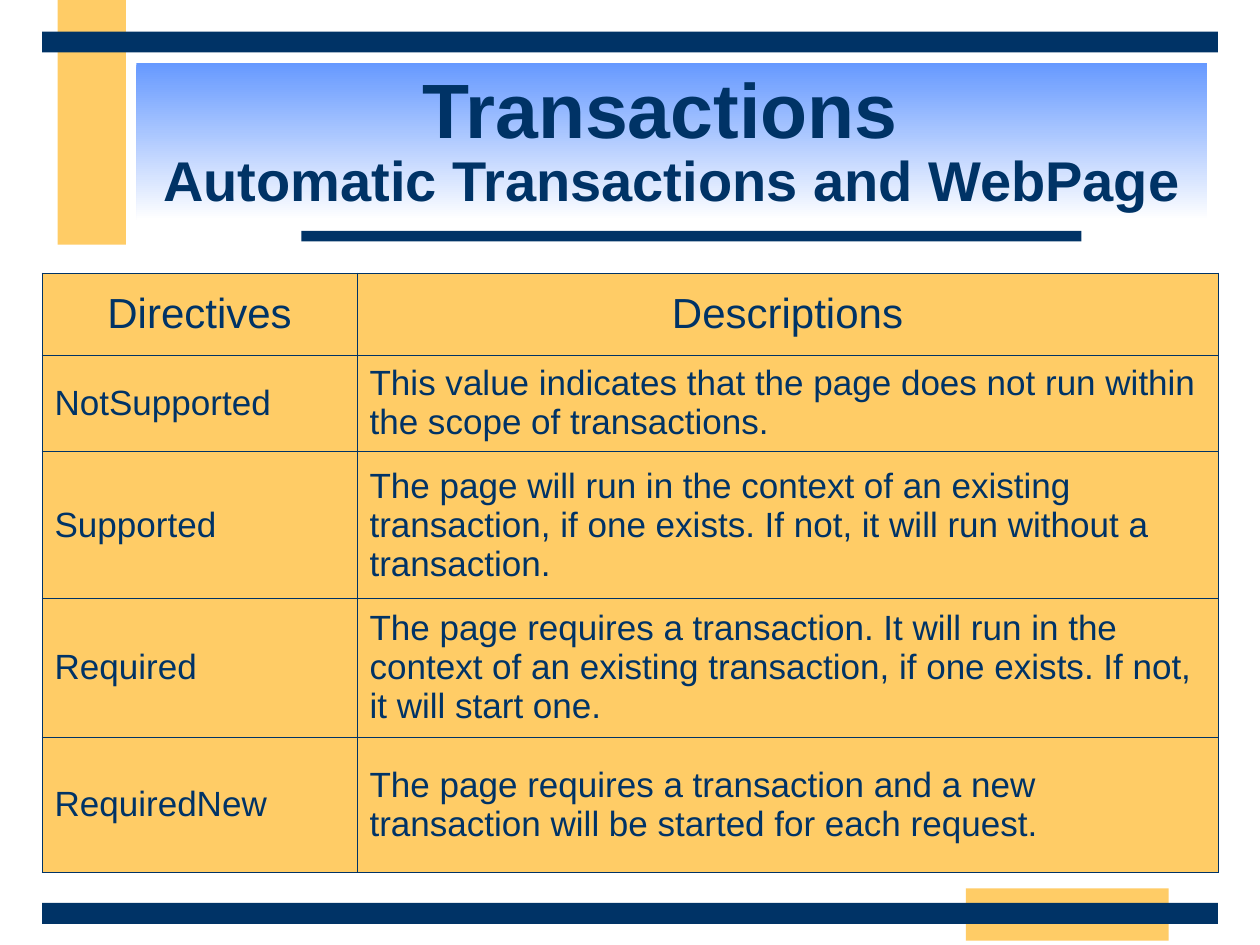
from lxml.etree import SubElement
from pptx import Presentation
from pptx.dml.color import RGBColor
from pptx.enum.shapes import MSO_SHAPE
from pptx.enum.text import MSO_ANCHOR, PP_ALIGN
from pptx.oxml.ns import qn
from pptx.util import Inches, Pt

COLORS = {"navy": "003366", "gold": "FFCC66", "blue": "6699FF", "white": "FFFFFF"}

# Grid of 120 columns by 90 rows on a 10 x 7.5 inch slide
WIDTH, HEIGHT = Inches(10), Inches(7.5)
COLS, ROWS = 120, 90

# Boxes: left, top, width, height in grid units
BARS = [
    ("gold", (5.5, 0, 6.5, 23.3)),
    ("gold", (92, 84.6, 19.3, 5)),
    ("navy", (28.7, 22, 74.3, 1)),
    ("navy", (4, 86, 112, 2)),
    ("navy", (4, 3, 112, 2)),
]
TITLE_BOX = (13, 6, 102, 15)
TABLE_BOX = (4, 26, 112, 57.1)

COL_WIDTHS = [30, 82]
ROW_HEIGHTS = [7.8, 9.2, 14, 13.2, 12.9]
DIRECTIVES = [
    ("Directives", "Descriptions"),
    ("NotSupported", "This value indicates that the page does not run within "
                     "the scope of transactions."),
    ("Supported", "The page will run in the context of an existing transaction, "
                  "if one exists. If not, it will run without a transaction."),
    ("Required", "The page requires a transaction. It will run in the context of "
                 "an existing transaction, if one exists. If not, it will start one."),
    ("RequiredNew", "The page requires a transaction and a new transaction will be "
                    "started for each request."),
]


def x(cols):
    return round(WIDTH * cols / COLS)


def y(rows):
    return round(HEIGHT * rows / ROWS)


def place(box):
    left, top, width, height = box
    return x(left), y(top), x(width), y(height)


def rgb(name):
    return RGBColor.from_string(COLORS[name])


def add_rect(s, box):
    sp = s.shapes.add_shape(MSO_SHAPE.RECTANGLE, *place(box))
    sp.shadow.inherit = False
    sp.line.fill.background()
    return sp


def add_run(p, text, size, bold=False):
    r = p.add_run()
    r.text = text
    for name, value in {"name": "Arial", "size": Pt(size), "bold": bold}.items():
        setattr(r.font, name, value)
    r.font.color.rgb = rgb("navy")


def add_bars(s, bars):
    for color, box in bars:
        sp = add_rect(s, box)
        sp.fill.solid()
        sp.fill.fore_color.rgb = rgb(color)


def add_title(s, box):
    sp = add_rect(s, box)
    sp.fill.gradient()
    sp.fill.gradient_angle = 270
    for stop, color in zip(sp.fill.gradient_stops, ("blue", "white")):
        stop.color.rgb = rgb(color)
    tf = sp.text_frame
    tf.word_wrap = True
    tf.vertical_anchor = MSO_ANCHOR.MIDDLE
    p = tf.paragraphs[0]
    p.alignment = PP_ALIGN.CENTER
    p.line_spacing = 0.85
    add_run(p, "Transactions", 44, True)
    add_run(p, " ", 48, True)
    p.add_line_break()
    add_run(p, "Automatic Transactions and WebPage", 32, True)


def add_borders(cell):
    tc_pr = cell._tc.get_or_add_tcPr()
    for side in ("a:lnL", "a:lnR", "a:lnT", "a:lnB"):
        ln = SubElement(tc_pr, qn(side), w=str(Pt(0.45)))
        fill = SubElement(ln, qn("a:solidFill"))
        SubElement(fill, qn("a:srgbClr"), val=COLORS["navy"])


def fill_cell(cell, text, header):
    add_borders(cell)
    cell.fill.solid()
    cell.fill.fore_color.rgb = rgb("gold")
    cell.vertical_anchor = MSO_ANCHOR.MIDDLE
    p = cell.text_frame.paragraphs[0]
    p.alignment = PP_ALIGN.CENTER if header else PP_ALIGN.LEFT
    p.space_before = Pt(6 if header else 5)
    add_run(p, text, 24 if header else 20)


def add_directives(s, box):
    frame = s.shapes.add_table(len(ROW_HEIGHTS), len(COL_WIDTHS), *place(box))
    table = frame.table
    table.first_row = table.horz_banding = False
    for column, width in zip(table.columns, COL_WIDTHS):
        column.width = x(width)
    for i, (row, height) in enumerate(zip(table.rows, ROW_HEIGHTS)):
        row.height = y(height)
        for cell, text in zip(row.cells, DIRECTIVES[i]):
            fill_cell(cell, text, header=i == 0)


def main():
    prs = Presentation()
    prs.slide_width, prs.slide_height = WIDTH, HEIGHT
    s = prs.slides.add_slide(prs.slide_layouts[6])
    add_bars(s, BARS)
    add_directives(s, TABLE_BOX)
    add_title(s, TITLE_BOX)
    prs.save("out.pptx")


if __name__ == "__main__":
    main()
